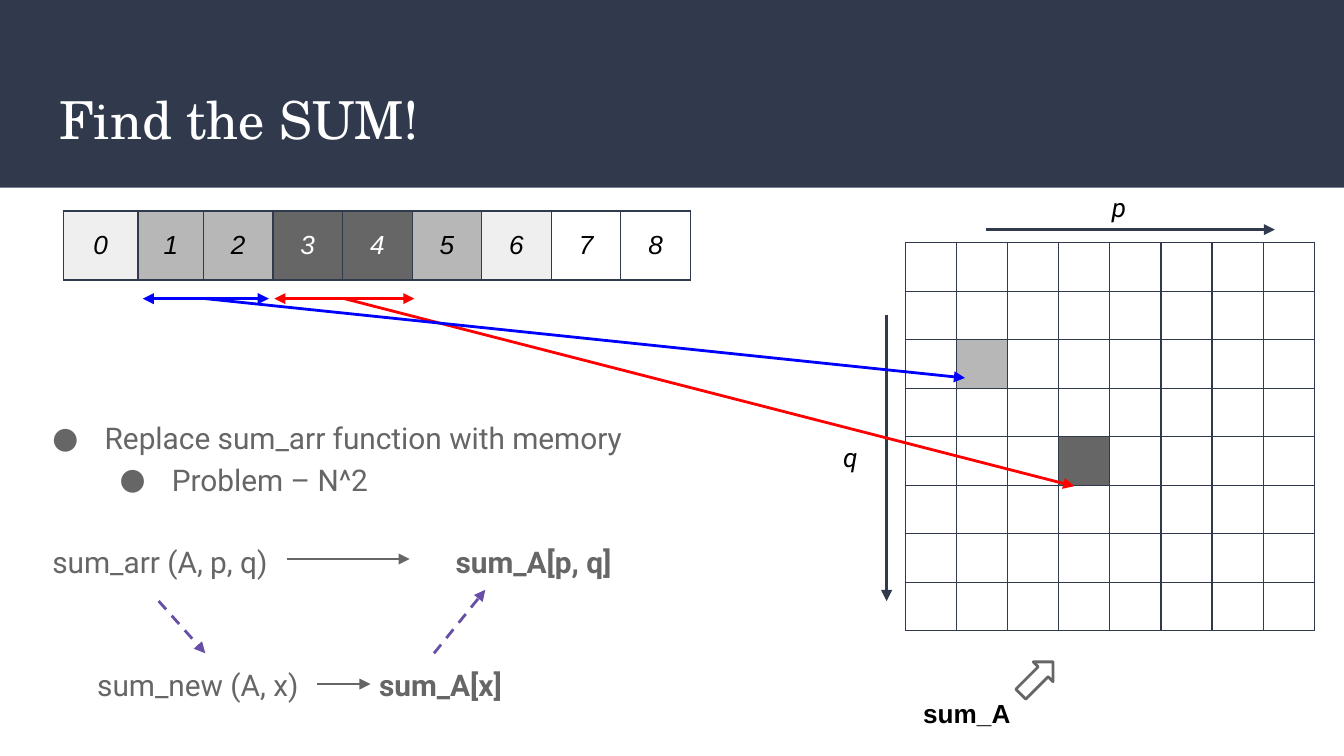
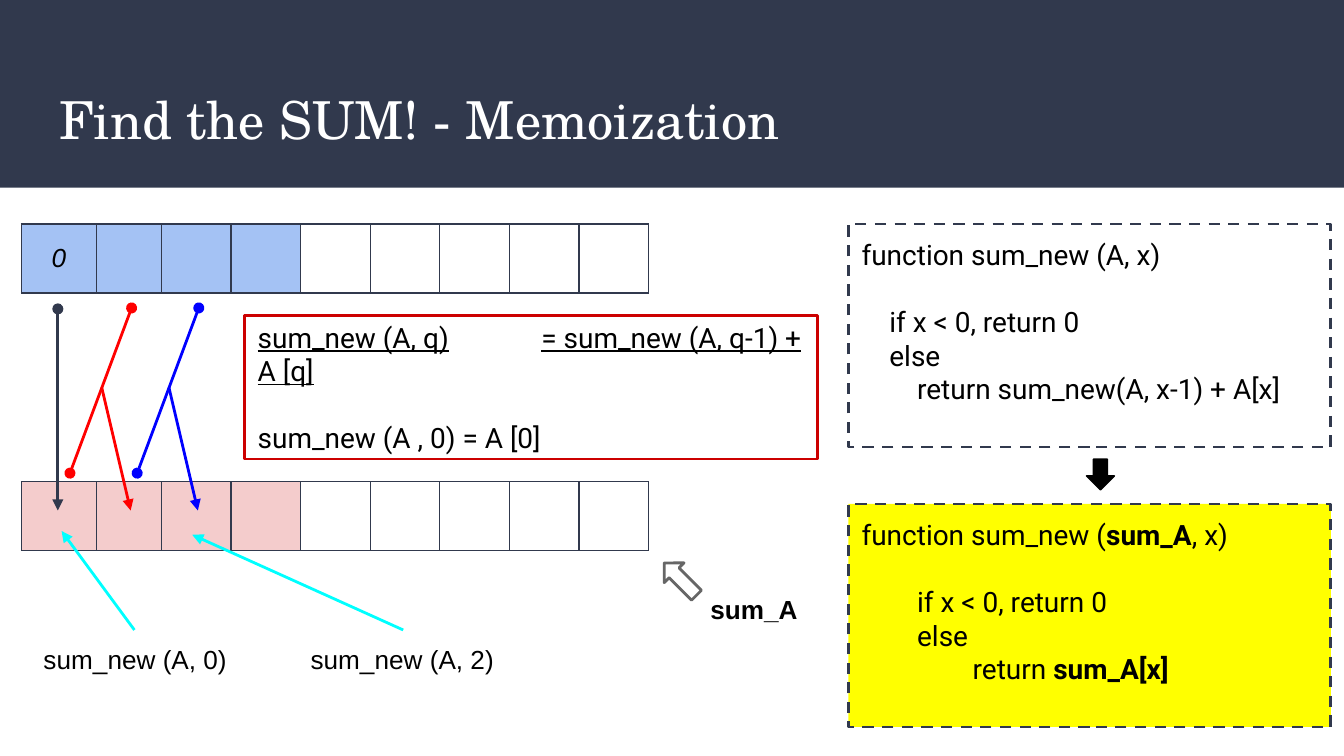
from lxml import etree
from pptx import Presentation
from pptx import util as u
from pptx.dml import color
from pptx.enum import dml, shapes, text
from pptx.oxml import ns

Pt = u.Pt
COLOURS = {
    "navy": "31394D", "white": "FFFFFF", "black": "000000", "grey": "666666",
    "silver": "B7B7B7", "mist": "EFEFEF", "red": "FF0000", "crimson": "CC0000",
    "blue": "0000FF", "purple": "674EA7", "cyan": "00FFFF", "sky": "A4C2F4",
    "rose": "F4CCCC", "yellow": "FFFF00",
}
ARRAY_WIDTHS = [40, 35] + [37.3] * 7
LEFT, CENTER = text.PP_ALIGN.LEFT, text.PP_ALIGN.CENTER
TOP, MIDDLE = text.MSO_ANCHOR.TOP, text.MSO_ANCHOR.MIDDLE
SHAPE = shapes.MSO_SHAPE


def rgb(name):
    return color.RGBColor.from_string(COLOURS[name])


def add_xml(parent, tag, **attributes):
    return etree.SubElement(parent, ns.qn(tag), attributes)


class Deck:
    """Holds the presentation, its style and the current page."""

    def __init__(self):
        self.deck = Presentation()
        self.deck.slide_width, self.deck.slide_height = Pt(720), Pt(405)
        self.page = None

    def new_page(self, title):
        self.page = self.deck.slides.add_slide(self.deck.slide_layouts[5])
        holder = self.page.shapes.title
        band = self.shape(SHAPE.RECTANGLE, 0, 0, 720, 100.5, fill="navy")
        holder.element.addprevious(band.element)
        holder.left, holder.top = Pt(24.5), Pt(39.5)
        holder.width, holder.height = Pt(671), Pt(49)
        self.put_text(holder, [title], 28, "TeX Gyre Schola", "white")

    def put_text(self, shape, lines, size=14, font="Arial", colour="black",
                 align=LEFT, anchor=TOP, **emphasis):
        """Set up the text of a shape, one paragraph a line."""
        frame = shape.text_frame
        frame.word_wrap = True
        frame.auto_size = text.MSO_AUTO_SIZE.NONE
        frame.vertical_anchor = anchor
        frame.margin_left = frame.margin_right = Pt(7.2)
        frame.margin_top = frame.margin_bottom = Pt(7.2)
        for index, line in enumerate(lines):
            para = frame.add_paragraph() if index else frame.paragraphs[0]
            self.put_line(para, line, size, font, colour, align, **emphasis)
        return frame.paragraphs

    def put_line(self, para, line, size, font, colour, align, **emphasis):
        """Fill one paragraph; text between asterisks is bold."""
        for part, words in enumerate(line.split("*")):
            if words:
                span = para.add_run()
                span.text = words
                if part % 2:
                    span.font.bold = True
        para.alignment = align
        para.font.size, para.font.name = Pt(size), font
        para.font.color.rgb = rgb(colour)
        for name, value in emphasis.items():
            setattr(para.font, name, value)

    def textbox(self, left, top, width, height, lines, **style):
        box = self.page.shapes.add_textbox(
            Pt(left), Pt(top), Pt(width), Pt(height))
        return self.put_text(box, lines, **style)

    def shape(self, kind, left, top, width, height, fill=None, line=None,
              weight=1.5, dashed=False, rotation=0):
        shape = self.page.shapes.add_shape(
            kind, Pt(left), Pt(top), Pt(width), Pt(height))
        shape.shadow.inherit = False
        shape.rotation = rotation
        if fill:
            shape.fill.solid()
            shape.fill.fore_color.rgb = rgb(fill)
        else:
            shape.fill.background()
        if line:
            self.outline(shape.line, line, weight, dashed)
        else:
            shape.line.fill.background()
        return shape

    def outline(self, line, colour, weight, dashed):
        line.color.rgb = rgb(colour)
        line.width = Pt(weight)
        if dashed:
            line.dash_style = dml.MSO_LINE.DASH

    def arrow(self, start, end, colour, weight=1.5, dashed=False,
              head="none", tail="triangle"):
        link = self.page.shapes.add_connector(
            shapes.MSO_CONNECTOR.STRAIGHT, *map(Pt, start + end))
        self.outline(link.line, colour, weight, dashed)
        properties = link.element.spPr
        line = properties.get_or_add_ln()
        add_xml(line, "a:headEnd", type=head)
        add_xml(line, "a:tailEnd", type=tail)
        add_xml(properties, "a:effectLst")

    def table(self, left, top, widths, row_height, rows, fills, labels=()):
        """Draw a ruled grid; fills maps (row, column) to a colour."""
        grid = self.page.shapes.add_table(
            rows, len(widths), Pt(left), Pt(top),
            Pt(sum(widths)), Pt(row_height * rows)).table
        grid.first_row = grid.horz_banding = False
        for column, width in zip(grid.columns, widths):
            column.width = Pt(width)
        for row_index, row in enumerate(grid.rows):
            row.height = Pt(row_height)
            for index, cell in enumerate(row.cells):
                fill = fills.get((row_index, index), "white")
                self.cell(cell, fill)
                if index < len(labels):
                    self.put_line(cell.text_frame.paragraphs[0], labels[index],
                                  14, "Arial",
                                  "white" if fill == "grey" else "black",
                                  CENTER, italic=True)

    def cell(self, cell, fill):
        cell.margin_left = cell.margin_right = 0
        cell.margin_top = cell.margin_bottom = 0
        cell.vertical_anchor = MIDDLE
        properties = cell._tc.get_or_add_tcPr()
        for side in "LRTB":
            line = add_xml(properties, f"a:ln{side}", w=str(Pt(0.75)))
            solid = add_xml(line, "a:solidFill")
            add_xml(solid, "a:srgbClr", val=COLOURS["navy"])
        cell.fill.solid()
        cell.fill.fore_color.rgb = rgb(fill)

    def array(self, left, top, fills, labels=()):
        """Draw one row of nine cells, coloured from the left."""
        fills = {(0, index): fill for index, fill in enumerate(fills)}
        self.table(left, top, ARRAY_WIDTHS, 37, 1, fills, labels)

    def bullet(self, para, indent, hang):
        properties = para._p.get_or_add_pPr()
        properties.set("marL", str(Pt(indent)))
        properties.set("indent", str(Pt(-hang)))
        # Bullet elements stand before the font defaults
        tint = etree.Element(ns.qn("a:buClr"))
        add_xml(tint, "a:srgbClr", val=COLOURS["grey"])
        face = etree.Element(ns.qn("a:buFont"), typeface="Roboto")
        mark = etree.Element(ns.qn("a:buChar"), char="●")
        for element in (tint, face, mark):
            properties.find(ns.qn("a:defRPr")).addprevious(element)

    def tabs(self, para, *stops):
        properties = para._p.get_or_add_pPr()
        stop_list = etree.Element(ns.qn("a:tabLst"))
        for stop in stops:
            add_xml(stop_list, "a:tab", pos=str(Pt(stop)), algn="l")
        properties.find(ns.qn("a:defRPr")).addprevious(stop_list)

    def code(self, top, lines, fill=None):
        box = self.shape(SHAPE.RECTANGLE, 454.5, top, 258.5, 119.5,
                         fill=fill, line="navy", dashed=True)
        paras = self.put_text(box, lines, 15, "Roboto")
        paras[0].space_after = Pt(18)


def build_sum_page(deck):
    deck.new_page("Find the SUM!")

    # Matrix with its axes
    deck.table(485, 130, [27.4] * 8, 26, 8, {(2, 1): "silver", (4, 3): "grey"})
    deck.arrow((528, 123), (683, 123), "navy")
    deck.arrow((475, 168.5), (475, 322), "navy")
    for axis, left, top in (("p", 585, 98.5), ("q", 441, 232.5)):
        deck.textbox(left, top, 29, 24.5, [axis], font="Roboto",
                     align=CENTER, anchor=MIDDLE, italic=True)
    deck.shape(SHAPE.UP_ARROW, 548, 351, 15, 24.5, line="grey", rotation=45)
    deck.textbox(487.5, 366.5, 64, 32, ["sum_A"], bold=True)

    # Input array
    deck.array(34, 113, ["mist", "silver", "silver", "grey", "grey",
                         "silver", "mist"], "012345678")

    # Bullets and the two replacements
    paras = deck.textbox(
        21, 215, 405, 159,
        ["Replace sum_arr function with memory", "Problem – N^2",
         "sum_arr (A, p, q)\t*sum_A[p, q]*", "\tsum_new (A, x)\t*sum_A[x]*"],
        size=16, font="Roboto", colour="grey")
    for para, before in zip(paras, (0, 0, 22, 44)):
        para.line_spacing = 1.15
        para.space_before = Pt(before)
    deck.bullet(paras[0], 28, 28)
    deck.bullet(paras[1], 64, 28)
    paras[1].level = 1
    deck.tabs(paras[2], 216)
    deck.tabs(paras[3], 24, 175)
    deck.arrow((154, 299.5), (219.5, 299.5), "grey", 0.75)
    deck.arrow((170, 366.5), (198.5, 366.5), "grey", 0.75)
    deck.arrow((85, 322), (110, 350), "purple", dashed=True)
    deck.arrow((232.5, 350), (260, 316), "purple", dashed=True)

    # Ranges of the array and the matrix cells they map to
    for colour, start, end, middle, target in (
            ("red", 147, 222, 184.5, (575.5, 260.5)),
            ("blue", 76.5, 144, 110, (517, 202.5))):
        deck.arrow((start, 160), (end, 160), colour, head="triangle")
        deck.arrow((middle, 160), target, colour)


def build_memo_page(deck):
    deck.new_page("Find the SUM! - Memoization")

    # Input array above, stored sums below
    deck.array(11.5, 120, ["sky"] * 4, "0")
    deck.array(11.5, 258, ["rose"] * 4)
    deck.shape(SHAPE.UP_ARROW, 357, 298, 15, 24.5, line="grey", rotation=315)
    deck.textbox(373.5, 310.5, 81, 32, ["sum_A"], bold=True)

    # How each sum is formed
    deck.arrow((31, 165.5), (31, 273.5), "navy", head="oval")
    for colour, shift in (("red", 0), ("blue", 36)):
        deck.arrow((37.5 + shift, 253.5), (70.5 + shift, 165), colour,
                   head="oval", tail="oval")
        deck.arrow((54.5 + shift, 207.5), (70 + shift, 273.5), colour)

    # Calls pointing at their stored sums
    for call, left, width, start, target in (
            ("sum_new (A, 0)", 16, 113, 72, (33, 284.5)),
            ("sum_new (A, 2)", 154, 123, 216, (103, 286.5))):
        deck.textbox(left, 337.5, width, 32, [call], align=CENTER)
        deck.arrow((start, 337.5), target, "cyan")

    # Recurrence
    rule = deck.shape(SHAPE.RECTANGLE, 131, 169, 307, 77, line="crimson")
    step, base = deck.put_text(
        rule, ["sum_new (A, q)\t= sum_new (A, q-1) + A [q]",
               "sum_new (A , 0) = A [0]"], 15, "Roboto", anchor=MIDDLE)
    deck.tabs(step, 152)
    step.font.underline = True
    base.space_before = Pt(18)

    # Code before and after
    deck.code(120, ["function sum_new (A, x)", "    if x < 0, return 0",
                    "    else", "        return sum_new(A, x-1) + A[x]"])
    deck.code(270, ["function sum_new (*sum_A*, x)",
                    "        if x < 0, return 0", "        else",
                    "                return *sum_A[x]*"], fill="yellow")
    deck.shape(SHAPE.DOWN_ARROW, 582, 246, 15, 16.5, fill="black",
               line="black", weight=0.75)


def main():
    deck = Deck()
    build_sum_page(deck)
    build_memo_page(deck)
    deck.deck.save("out.pptx")


if __name__ == "__main__":
    main()
